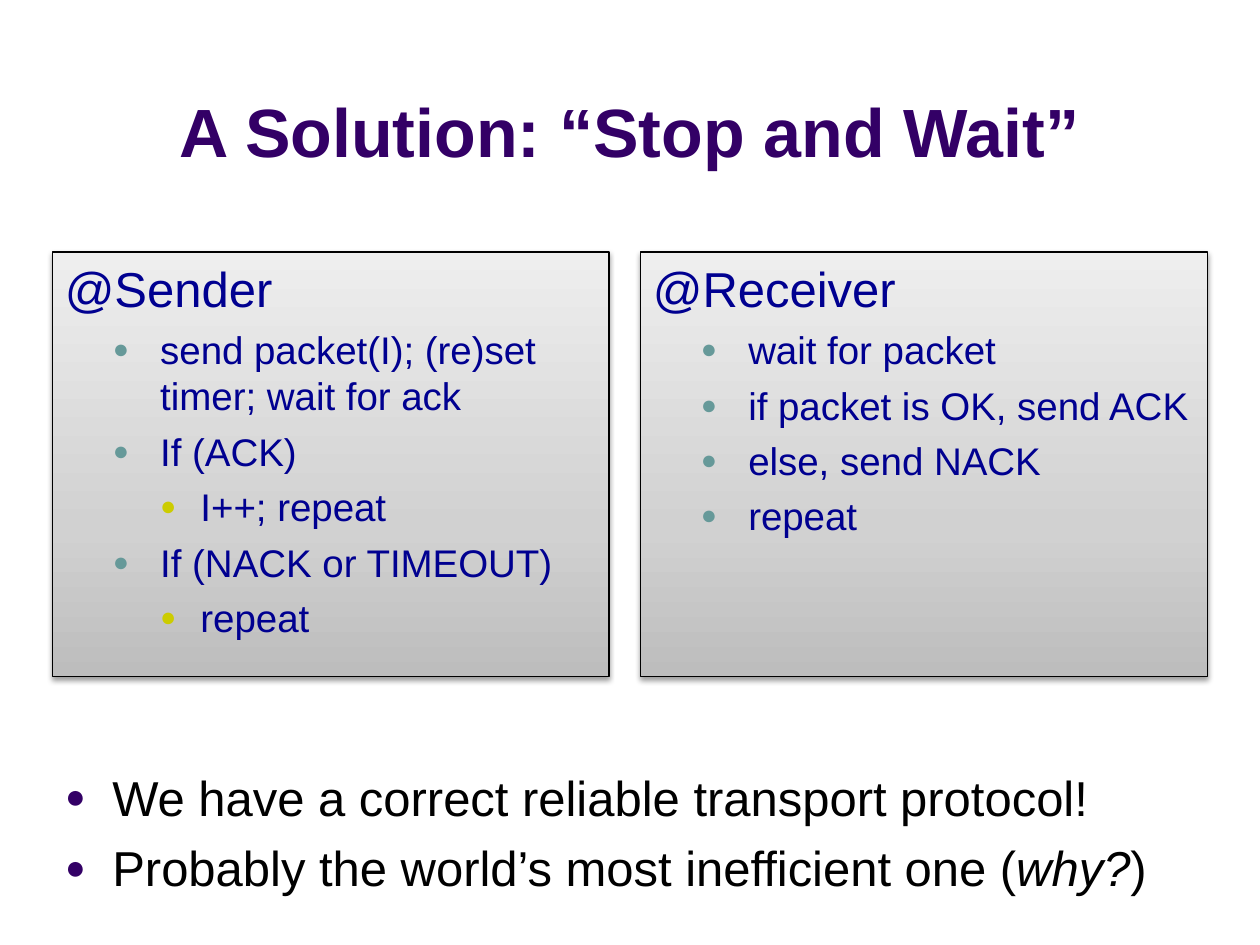
import copy
from dataclasses import dataclass

import lxml.etree
import pptx
import pptx.dml.color
import pptx.enum.shapes
import pptx.enum.text
import pptx.oxml
import pptx.oxml.ns
import pptx.util

Pt = pptx.util.Pt
qn = pptx.oxml.ns.qn
rgb = pptx.dml.color.RGBColor.from_string


@dataclass(frozen=True)
class Theme:
    font: str = "Arial"
    title_size: int = 39
    head_size: int = 28
    step_size: int = 22
    accent: str = "330066"
    text: str = "000000"
    panel_text: str = "000090"
    step_bullet: str = "669999"
    substep_bullet: str = "CCCC00"
    gradient: tuple = ((0, "BDBDBD"), (0.35, "D1D1D1"), (1, "EEEEEE"))
    space_ratio: float = 0.24


THEME = Theme()
# Left indent, hanging indent and bullet colour of the panel levels
PANEL_LEVELS = {
    1: (54.5, 27, THEME.step_bullet),
    2: (77.5, 23, THEME.substep_bullet),
}
SENDER = [
    (0, "@Sender"),
    (1, "send packet(I); (re)set timer; wait for ack"),
    (1, "If (ACK)"),
    (2, "I++; repeat"),
    (1, "If (NACK or TIMEOUT)"),
    (2, "repeat"),
]
RECEIVER = [
    (0, "@Receiver"),
    (1, "wait for packet"),
    (1, "if packet is OK, send ACK"),
    (1, "else, send NACK"),
    (1, "repeat"),
]
CONCLUSIONS = [
    ["We have a correct reliable transport protocol!"],
    ["Probably the world’s most inefficient one (", "why?", ")"],
]


def place(shape, box):
    shape.left, shape.top, shape.width, shape.height = map(Pt, box)


def style_paragraph(para, size, color):
    para.space_before = Pt(size * THEME.space_ratio)
    for span in para.runs:
        span.font.name = THEME.font
        span.font.size = Pt(size)
        span.font.color.rgb = rgb(color)


def add_bullet(para, left, hanging, color):
    properties = para._p.get_or_add_pPr()
    properties.set("marL", str(Pt(left)))
    properties.set("indent", str(-Pt(hanging)))
    bullet_color = lxml.etree.SubElement(properties, qn("a:buClr"))
    lxml.etree.SubElement(bullet_color, qn("a:srgbClr"), val=color)
    lxml.etree.SubElement(properties, qn("a:buSzPct"), val="70000")
    lxml.etree.SubElement(properties, qn("a:buFont"), typeface=THEME.font)
    lxml.etree.SubElement(properties, qn("a:buChar"), char="●")


def fill_gradient(shape):
    shape.fill.gradient()
    shape.fill.gradient_angle = 90
    first = shape.fill._xPr.find(".//" + qn("a:gs"))
    first.addnext(copy.deepcopy(first))
    for stop, (position, color) in zip(shape.fill.gradient_stops, THEME.gradient):
        stop.position = position
        stop.color.rgb = rgb(color)


def add_soft_shadow(shape):
    shape.shadow.inherit = False
    effects = shape._element.spPr.find(qn("a:effectLst"))
    shadow = lxml.etree.SubElement(
        effects, qn("a:outerShdw"), blurRad=str(Pt(3.1)), dist=str(Pt(1.6)),
        dir="5400000", rotWithShape="0")
    color = lxml.etree.SubElement(shadow, qn("a:srgbClr"), val=THEME.text)
    lxml.etree.SubElement(color, qn("a:alpha"), val="38000")


def add_title(page, box, text):
    title = page.shapes.title
    place(title, box)
    frame = title.text_frame
    frame.text = text
    frame.auto_size = pptx.enum.text.MSO_AUTO_SIZE.NONE
    frame.vertical_anchor = pptx.enum.text.MSO_ANCHOR.BOTTOM
    para = frame.paragraphs[0]
    para.alignment = pptx.enum.text.PP_ALIGN.CENTER
    style_paragraph(para, THEME.title_size, THEME.accent)
    para.runs[0].font.bold = True


def add_panel(page, box, lines):
    panel = page.shapes.add_shape(
        pptx.enum.shapes.MSO_SHAPE.RECTANGLE, *map(Pt, box))
    fill_gradient(panel)
    add_soft_shadow(panel)
    panel.line.color.rgb = rgb(THEME.text)
    panel.line.width = Pt(0.75)
    frame = panel.text_frame
    frame.word_wrap = True
    frame.vertical_anchor = pptx.enum.text.MSO_ANCHOR.TOP
    frame.text = "\n".join(text for _, text in lines)
    for para, (level, _) in zip(frame.paragraphs, lines):
        para.level = level
        para.alignment = pptx.enum.text.PP_ALIGN.LEFT
        size = THEME.step_size if level else THEME.head_size
        style_paragraph(para, size, THEME.panel_text)
        if level:
            add_bullet(para, *PANEL_LEVELS[level])


def add_conclusions(page, box, lines):
    """Fill the body list; every second span of a line is italic."""
    body = page.placeholders[1]
    place(body, box)
    frame = body.text_frame
    frame.auto_size = pptx.enum.text.MSO_AUTO_SIZE.NONE
    frame.vertical_anchor = pptx.enum.text.MSO_ANCHOR.TOP
    frame.margin_top = Pt(42.5)
    for number, spans in enumerate(lines):
        para = frame.add_paragraph() if number else frame.paragraphs[0]
        for index, text in enumerate(spans):
            span = para.add_run()
            span.text = text
            span.font.italic = index % 2 == 1
        style_paragraph(para, THEME.head_size, THEME.text)
        add_bullet(para, 27, 27, THEME.accent)


def main():
    deck = pptx.Presentation()
    deck.slide_width, deck.slide_height = Pt(720), Pt(540)
    page = deck.slides.add_slide(deck.slide_layouts[1])
    add_title(page, (36, 9.5, 648, 92), "A Solution: “Stop and Wait”")
    add_conclusions(page, (30, 396, 648, 120), CONCLUSIONS)
    add_panel(page, (30, 144, 318, 242.5), SENDER)
    add_panel(page, (366, 144, 324, 242.5), RECEIVER)
    deck.save("out.pptx")


if __name__ == "__main__":
    main()
